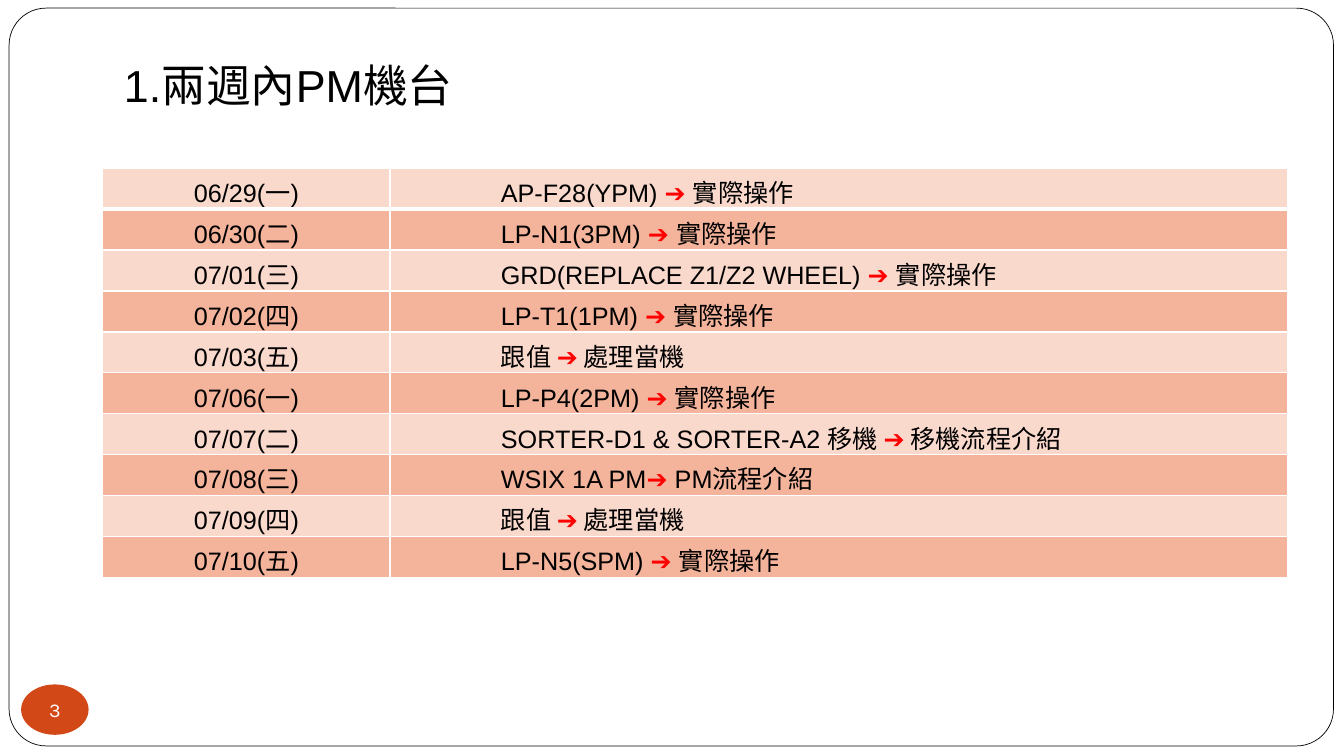
from dataclasses import dataclass

from lxml import etree
from pptx import Presentation
from pptx.dml.color import RGBColor
from pptx.enum.shapes import MSO_SHAPE
from pptx.enum.text import MSO_ANCHOR, MSO_AUTO_SIZE, PP_ALIGN
from pptx.oxml.ns import qn
from pptx.util import Pt

ROUNDED, OVAL = MSO_SHAPE.ROUNDED_RECTANGLE, MSO_SHAPE.OVAL
LEFT, CENTER = PP_ALIGN.LEFT, PP_ALIGN.CENTER
MIDDLE = MSO_ANCHOR.MIDDLE
GROW = MSO_AUTO_SIZE.SHAPE_TO_FIT_TEXT


@dataclass(frozen=True)
class Theme:
    white: str = "FFFFFF"
    black: str = "000000"
    arrow: str = "FF0000"
    badge: str = "D34817"
    bands: tuple[str, str] = ("FAD9CD", "F4B39B")
    body_font: str = "Arial"
    badge_font: str = "Karla"
    title_size: float = 32
    table_size: float = 18
    badge_size: float = 14


@dataclass(frozen=True)
class Frame:
    left: float
    top: float
    width: float
    height: float

    def lengths(self) -> tuple:
        return Pt(self.left), Pt(self.top), Pt(self.width), Pt(self.height)


@dataclass(frozen=True)
class Task:
    date: str
    machine: str
    arrow: str
    action: str


THEME = Theme()
PAGE_FRAME = Frame(6.5, 5.8, 946, 527)
BADGE_FRAME = Frame(15.1, 488.9, 48.2, 36)
TITLE_FRAME = Frame(81.4, 37.4, 252.7, 46)
TABLE_FRAME = Frame(73.4, 120.2, 846.7, 292.3)
DATE_WIDTH = 205.2
TASK_INDENT = 72
RULE, HEAD_RULE = 1, 3

TASKS = [
    Task("06/29(一)", "AP-F28(YPM) ", "➔ ", "實際操作"),
    Task("06/30(二)", "LP-N1(3PM) ", "➔", " 實際操作"),
    Task("07/01(三)", "GRD(REPLACE Z1/Z2 WHEEL) ", "➔", " 實際操作"),
    Task("07/02(四)", "LP-T1(1PM) ", "➔", " 實際操作"),
    Task("07/03(五)", "跟值 ", "➔", " 處理當機"),
    Task("07/06(一)", "LP-P4(2PM) ", "➔", " 實際操作"),
    Task("07/07(二)", "SORTER-D1 & SORTER-A2 移機 ", "➔", " 移機流程介紹"),
    Task("07/08(三)", "WSIX 1A PM", "➔ ", "PM流程介紹"),
    Task("07/09(四)", "跟值 ", "➔", " 處理當機"),
    Task("07/10(五)", "LP-N5(SPM) ", "➔", " 實際操作"),
]


def rgb(color: str) -> RGBColor:
    return RGBColor.from_string(color)


def add_text(para, text: str, *, size: float, color: str = THEME.black,
             font: str = THEME.body_font, align=LEFT) -> None:
    para.alignment = align
    span = para.add_run()
    span.text = text
    span.font.name = font
    span.font.size = Pt(size)
    span.font.color.rgb = rgb(color)


def add_box(page, preset, frame: Frame, fill: str, line: str | None = None):
    box = page.shapes.add_shape(preset, *frame.lengths())
    box.shadow.inherit = False
    box.fill.solid()
    box.fill.fore_color.rgb = rgb(fill)
    if line is None:
        box.line.fill.background()
    else:
        box.line.color.rgb = rgb(line)
        box.line.width = Pt(0.5)
    return box


def set_borders(cell, bottom: float) -> None:
    properties = cell._tc.get_or_add_tcPr()
    widths = {"a:lnL": RULE, "a:lnR": RULE, "a:lnT": RULE, "a:lnB": bottom}
    for position, (side, width) in enumerate(widths.items()):
        border = etree.Element(qn(side), w=str(Pt(width)))
        fill = etree.SubElement(border, qn("a:solidFill"))
        etree.SubElement(fill, qn("a:srgbClr"), val=THEME.white)
        properties.insert(position, border)


def add_schedule(page, tasks: list[Task]) -> None:
    table = page.shapes.add_table(len(tasks), 2, *TABLE_FRAME.lengths()).table
    table.first_row = table.horz_banding = False
    table.columns[0].width = Pt(DATE_WIDTH)
    table.columns[1].width = Pt(TABLE_FRAME.width - DATE_WIDTH)
    for index, task in enumerate(tasks):
        table.rows[index].height = Pt(TABLE_FRAME.height / len(tasks))
        date_cell, task_cell = table.rows[index].cells
        for cell in (date_cell, task_cell):
            cell.vertical_anchor = MIDDLE
            cell.fill.solid()
            cell.fill.fore_color.rgb = rgb(THEME.bands[index % 2])
            set_borders(cell, RULE if index else HEAD_RULE)

        add_text(date_cell.text_frame.paragraphs[0], task.date,
                 size=THEME.table_size, align=CENTER)
        para = task_cell.text_frame.paragraphs[0]
        para.level = 2
        para._p.get_or_add_pPr().set("marL", str(Pt(TASK_INDENT)))
        for text, color in ((task.machine, THEME.black),
                            (task.arrow, THEME.arrow),
                            (task.action, THEME.black)):
            add_text(para, text, size=THEME.table_size, color=color)


def add_badge(page, number: str) -> None:
    box = add_box(page, OVAL, BADGE_FRAME, THEME.badge)
    frame = box.text_frame
    frame.margin_left = frame.margin_right = Pt(0)
    frame.margin_top = frame.margin_bottom = Pt(0)
    frame.vertical_anchor = MIDDLE
    frame.word_wrap = False
    add_text(frame.paragraphs[0], number, size=THEME.badge_size,
             color=THEME.white, font=THEME.badge_font, align=CENTER)


def add_title(page, text: str) -> None:
    frame = page.shapes.add_textbox(*TITLE_FRAME.lengths()).text_frame
    frame.word_wrap = True
    frame.auto_size = GROW
    add_text(frame.paragraphs[0], text, size=THEME.title_size)


def main() -> None:
    deck = Presentation()
    deck.slide_width, deck.slide_height = Pt(960), Pt(540)
    page = deck.slides.add_slide(deck.slide_layouts[6])

    # Rounded page frame
    border = add_box(page, ROUNDED, PAGE_FRAME, THEME.white, THEME.black)
    border.adjustments[0] = 0.05

    # Page number, heading and schedule
    add_badge(page, "3")
    add_title(page, "1.兩週內PM機台")
    add_schedule(page, TASKS)

    deck.save("out.pptx")


if __name__ == "__main__":
    main()
